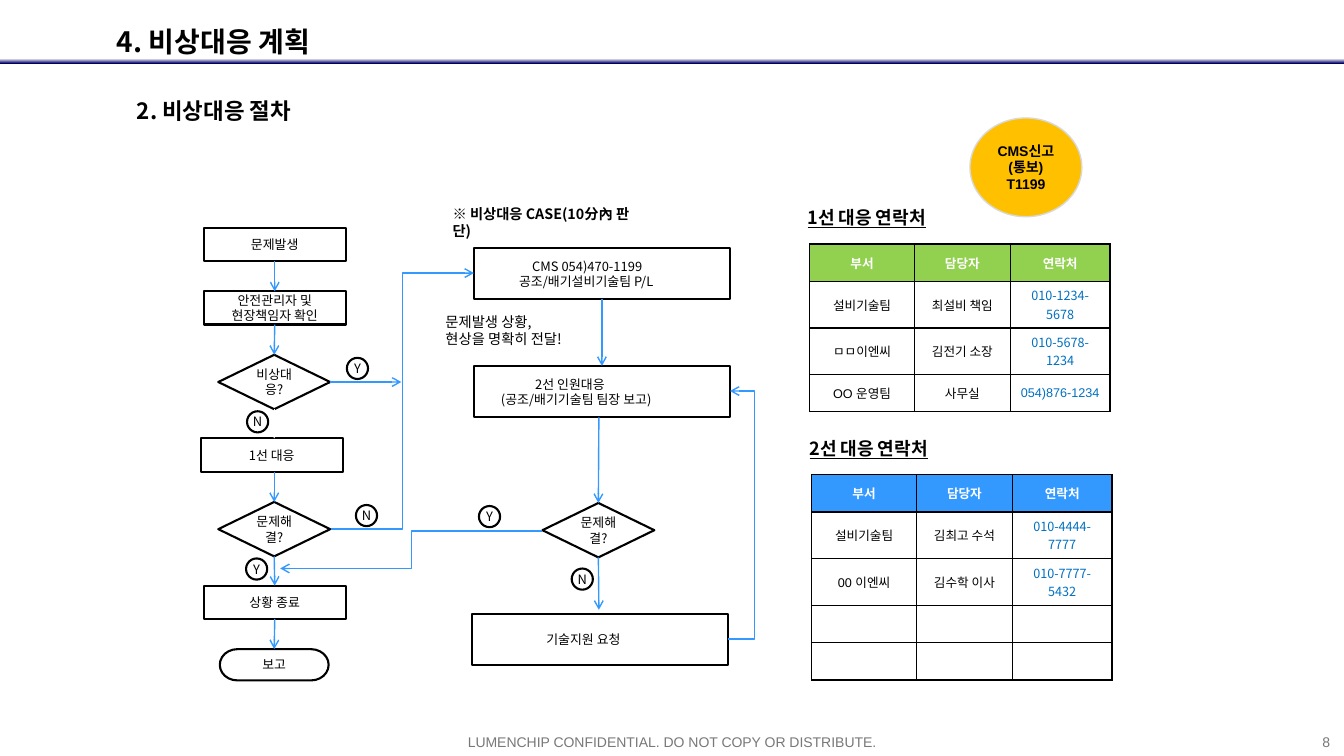
from lxml import etree
from pptx import Presentation
from pptx.dml.color import RGBColor
from pptx.enum.shapes import MSO_CONNECTOR, MSO_SHAPE
from pptx.enum.text import MSO_ANCHOR, MSO_AUTO_SIZE, PP_ALIGN
from pptx.oxml.ns import qn
from pptx.util import Inches, Pt

RECT, OVAL = MSO_SHAPE.RECTANGLE, MSO_SHAPE.OVAL
GATE, STOP = MSO_SHAPE.FLOWCHART_DECISION, MSO_SHAPE.FLOWCHART_TERMINATOR
DOT = MSO_SHAPE.FLOWCHART_CONNECTOR
LINE, BENT = MSO_CONNECTOR.STRAIGHT, MSO_CONNECTOR.ELBOW
LEFT, MID, RIGHT = PP_ALIGN.LEFT, PP_ALIGN.CENTER, PP_ALIGN.RIGHT
TOP, CENTER = MSO_ANCHOR.TOP, MSO_ANCHOR.MIDDLE
NOTO, ARIAL = "Noto Sans CJK KR", "Arial"
COLORS = {"ink": "000000", "white": "FFFFFF", "navy": "000066", "blue": "3399FF",
          "green": "92D050", "gold": "FFC000", "rim": "D9D9D9", "gray": "787878",
          "phone": "0070C0"}
WIDE, HIGH = 13.33, 7.5
BOX_W, BOX_H = 1.41, 0.33
GATE_W, GATE_H = 1.11, 0.54
CARD_W, CARD_H = 2.54, 0.51
DOT_W = 0.21
COLS = (1.04, 0.95, 0.99)
HEADS = ("부서", "담당자", "연락처")


def rgb(name):
    return RGBColor.from_string(COLORS[name])


def write(frame, lines, size, font=NOTO, color="ink", bold=False, align=LEFT,
          pads=(0.1, 0.05), anchor=TOP, wrap=True, dents=None):
    frame.auto_size = MSO_AUTO_SIZE.NONE
    frame.word_wrap = wrap
    frame.vertical_anchor = anchor
    frame.margin_left = frame.margin_right = Inches(pads[0])
    frame.margin_top = frame.margin_bottom = Inches(pads[1])
    frame.text = "\n".join(lines)
    for i, para in enumerate(frame.paragraphs):
        para.alignment = align
        if dents:
            para._p.get_or_add_pPr().set("marL", str(Inches(dents[i])))
        style = para.font
        style.size, style.name, style.bold = Pt(size), font, bold
        style.color.rgb = rgb(color)
        etree.SubElement(para._p.pPr.find(qn("a:defRPr")), qn("a:ea"), typeface=NOTO)
    return frame.paragraphs[0]


def label(shapes, box, lines, size, **style):
    area = shapes.add_textbox(*map(Inches, box))
    return write(area.text_frame, lines, size, **style)


def node(shapes, kind, box, lines, size=9.2, fill=None, edge="ink", width=1.5, **style):
    item = shapes.add_shape(kind, *map(Inches, box))
    item.shadow.inherit = False
    if fill:
        item.fill.solid()
        item.fill.fore_color.rgb = rgb(fill)
    else:
        item.fill.background()
    item.line.color.rgb = rgb(edge)
    item.line.width = Pt(width)
    write(item.text_frame, lines, size, anchor=CENTER, **style)
    return item


def arrow(shapes, kind, ends, color="blue", start=None, end=None, bend=None):
    wire = shapes.add_connector(kind, *map(Inches, ends))
    if start:
        wire.begin_connect(*start)
    if end:
        wire.end_connect(*end)
    wire.line.color.rgb = rgb(color)
    wire.line.width = Pt(1)
    etree.SubElement(wire.line._get_or_add_ln(), qn("a:tailEnd"), type="arrow")
    props = wire._element.spPr
    etree.SubElement(props, qn("a:effectLst"))
    if bend:
        guides = props.find(qn("a:prstGeom")).get_or_add_avLst()
        etree.SubElement(guides, qn("a:gd"), name="adj1", fmla=f"val {bend * 100000}")


def tags(shapes, x, y, marks):
    for dx, dy, mark in marks:
        node(shapes, DOT, (x + dx, y + dy, DOT_W, DOT_W), [mark], align=MID,
             pads=(0, 0), wrap=False)


def gate(shapes, x, y, word):
    return node(shapes, GATE, (x, y, GATE_W, GATE_H), [word], align=MID, pads=(0.07, 0))


def header(slide):
    shapes = slide.shapes
    bar = shapes.add_shape(RECT, 0, Inches(0.58), Inches(WIDE), Inches(0.05))
    bar.shadow.inherit = False
    bar.line.fill.background()
    bar.fill.gradient()
    bar.fill.gradient_angle = 270
    for stop, name, spot in zip(bar.fill.gradient_stops, ("white", "navy"), (0, 1)):
        stop.color.rgb = rgb(name)
        stop.position = spot
    title = shapes.title
    title.left, title.top, title.width, title.height = map(Inches, (1.06, 0.03, 2.32, 0.6))
    write(title.text_frame, ["4. 비상대응 계획"], 20, bold=True, anchor=CENTER,
          wrap=False).line_spacing = 1.5
    label(shapes, (1.26, 0.78, 8.99, 0.45), ["2. 비상대응 절차"], 16,
          bold=True).line_spacing = 1.5


def footer(shapes, y):
    label(shapes, (4.16, y, 5.01, 0.27), ["LUMENCHIP CONFIDENTIAL. DO NOT COPY OR DISTRIBUTE."],
          10, font=ARIAL, color="gray", align=MID)
    label(shapes, (12.92, y, 0.37, 0.27), ["8"], 10, font=ARIAL, color="gray",
          align=RIGHT, wrap=False)


def first(shapes, x, y):
    def box(dx, dy, word):
        return node(shapes, RECT, (x + dx, y + dy, BOX_W, BOX_H), [word], align=MID)

    axis = x + 0.72
    side = axis - GATE_W / 2
    steps = [box(0.02, 0, "문제발생"), box(0.02, 0.63, "안전관리자 및 현장책임자 확인"),
             gate(shapes, side, y + 1.26, "비상대응?"), box(-0.01, 2.09, "1선 대응"),
             gate(shapes, side, y + 2.72, "문제해결?"), box(0.02, 3.55, "상황 종료"),
             node(shapes, STOP, (axis - 0.54, y + 4.18, 1.08, 0.31), ["보고"], align=MID)]
    for i, (a, b) in enumerate(zip(steps, steps[1:])):
        ends = (axis, (a.top + a.height) / 914400, axis, b.top / 914400)
        arrow(shapes, LINE, ends, "white" if i == 2 else "blue",
              None if i == 3 else (a, 2), None if i == 2 else (b, 0))
    level = y + 1.53
    arrow(shapes, LINE, (side + GATE_W, level, x + 1.98, level), start=(steps[2], 3))
    tags(shapes, x, y, [(1.44, 1.29, "Y"), (0.45, 1.82, "N"),
                        (1.53, 2.75, "N"), (0.44, 3.28, "Y")])


def second(shapes, x, y):
    def card(dx, dy, lines, dents):
        return node(shapes, RECT, (x + dx, y + dy, CARD_W, CARD_H), lines, dents=dents)

    call = card(0, 0, ["CMS 054)470-1199", "공조/배기설비기술팀 P/L"], (0.48, 0.35))
    team = card(0, 1.17, ["2선 인원대응", "(공조/배기기술팀 팀장 보고)"], (0.51, 0.17))
    solve = gate(shapes, x + 0.68, y + 2.53, "문제해결?")
    ask = card(-0.02, 3.63, ["기술지원 요청"], (0.64,))
    mid, axis = x + CARD_W / 2, x + 1.24
    arrow(shapes, LINE, (mid, y + CARD_H, mid, y + 1.17), start=(call, 2), end=(team, 0))
    arrow(shapes, LINE, (axis, y + 1.68, axis, y + 2.53), end=(solve, 0))
    arrow(shapes, LINE, (axis, y + 3.07, axis, y + 3.59), start=(solve, 2))
    arrow(shapes, BENT, (x + 2.52, y + 3.88, x + 2.54, y + 1.42), bend=13)
    tags(shapes, x, y, [(0.05, 2.56, "Y"), (0.97, 3.18, "N")])
    label(shapes, (x - 0.31, y - 0.47, 2.1, 0.45), ["※ 비상대응 CASE(10分內 판단)"],
          10.2, bold=True)
    label(shapes, (x - 0.38, y + 0.6, 1.48, 0.44), ["문제발생 상황,", "현상을 명확히 전달!"],
          10.2, wrap=False)


def loops(shapes):
    arrow(shapes, BENT, (3.28, 5.25, 4.7, 2.71))
    arrow(shapes, BENT, (5.38, 5.27, 2.78, 5.64))


def edge(cell):
    props = cell._tc.get_or_add_tcPr()
    for i, side in enumerate(("lnL", "lnR", "lnT", "lnB")):
        line = etree.Element(qn("a:" + side), w=str(Pt(1)))
        paint = etree.SubElement(line, qn("a:solidFill"))
        etree.SubElement(paint, qn("a:srgbClr"), val=COLORS["ink"])
        props.insert(i, line)


def contacts(shapes, x, y, name, tint, rows, highs):
    head = label(shapes, (x - 0.11, y - 0.42, 3.02, 0.31), [name], 12.9, bold=True,
                 pads=(0.09, 0.05))
    head.font.underline = True
    grid = shapes.add_table(len(highs), len(COLS),
                            *map(Inches, (x, y, sum(COLS), sum(highs)))).table
    for col, wide in zip(grid.columns, COLS):
        col.width = Inches(wide)
    texts = [HEADS, *rows]
    for r, high in enumerate(highs):
        grid.rows[r].height = Inches(high)
        for c in range(len(COLS)):
            cell = grid.cell(r, c)
            word = texts[r][c] if r < len(texts) else ""
            phone = r > 0 and c == 2
            font = NOTO if phone and word.startswith("010") else ARIAL
            color = "white" if r == 0 else "phone" if phone else "ink"
            para = write(cell.text_frame, [word], 9, font=font, color=color,
                         bold=r == 0, align=MID)
            if not word:
                etree.SubElement(para._p, qn("a:endParaRPr"), sz="900")
            cell.vertical_anchor = CENTER
            cell.margin_left = cell.margin_right = Inches(0.09)
            cell.margin_top = cell.margin_bottom = Inches(0.05)
            if r == 0:
                cell.fill.solid()
                cell.fill.fore_color.rgb = rgb(tint)
            else:
                cell.fill.background()
            edge(cell)


def main():
    deck = Presentation()
    deck.slide_width, deck.slide_height = Inches(WIDE), Inches(HIGH)
    slide = deck.slides.add_slide(deck.slide_layouts[5])
    shapes = slide.shapes
    header(slide)
    footer(shapes, 7.23)
    node(shapes, OVAL, (9.62, 1.17, 1.11, 0.98), ["CMS신고", "(통보)", "T1199"], 10,
         fill="gold", edge="rim", width=1, font=ARIAL, bold=True, align=MID)
    contacts(shapes, 8.03, 2.42, "1선 대응 연락처", "green",
             [("설비기술팀", "최설비 책임", "010-1234-5678"),
              ("ㅁㅁ이엔씨", "김전기 소장", "010-5678-1234"),
              ("OO 운영팀", "사무실", "054)876-1234")], (0.37, 0.4, 0.4, 0.37))
    contacts(shapes, 8.05, 4.71, "2선 대응 연락처", "blue",
             [("설비기술팀", "김최고 수석", "010-4444-7777"),
              ("00 이엔씨", "김수학 이사", "010-7777-5432")], (0.37, 0.4, 0.4, 0.37, 0.37))
    first(shapes, 2, 2.26)
    second(shapes, 4.7, 2.46)
    loops(shapes)
    deck.save("out.pptx")


if __name__ == "__main__":
    main()
